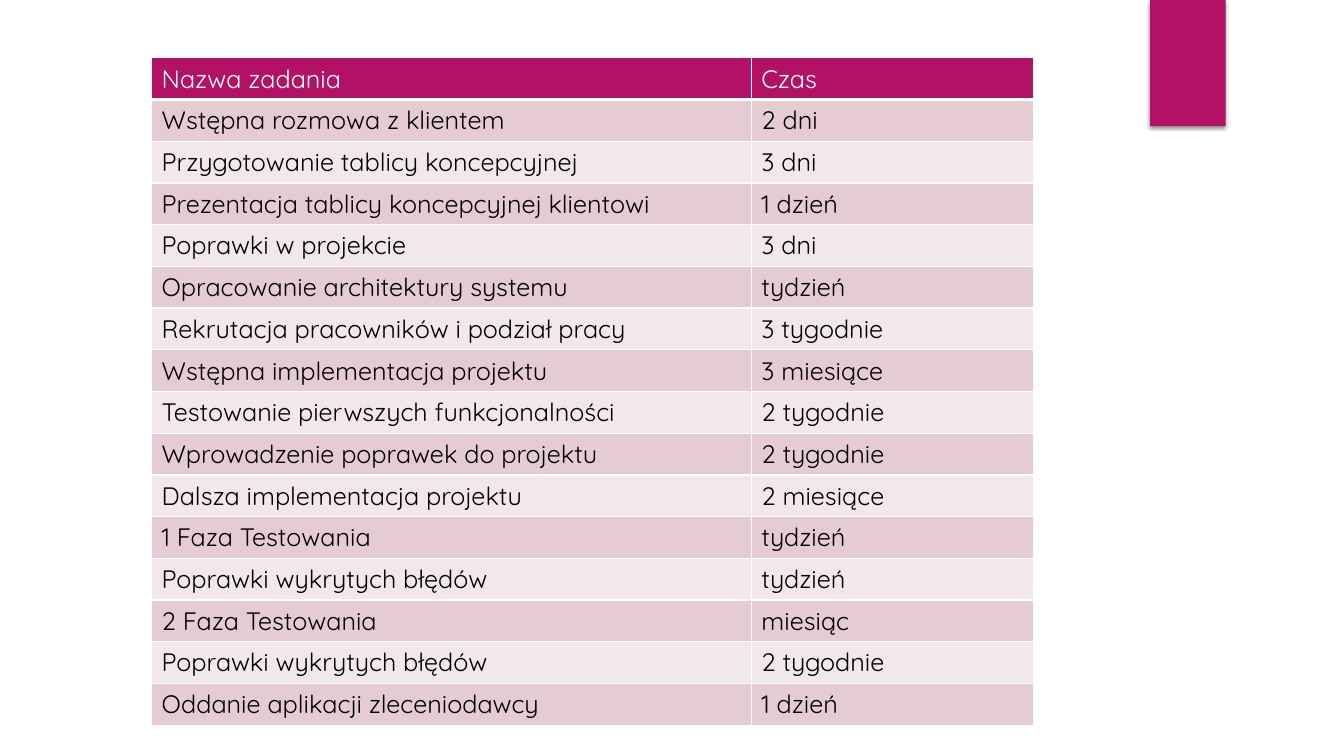
from dataclasses import dataclass

from lxml.etree import SubElement
from pptx import Presentation
from pptx.dml.color import RGBColor
from pptx.enum.shapes import MSO_SHAPE as Preset
from pptx.oxml.ns import qn
from pptx.slide import Slide
from pptx.table import _Cell as Cell
from pptx.util import Pt

FONT = "Quicksand"
MAGENTA = "B31166"
WHITE = "FFFFFF"
BLACK = "000000"
BAND_COLORS = ("E5CCD3", "F2E7EA")
ROW_HEIGHT = 26.64
COLUMN_WIDTHS = (428.4, 201.6)


@dataclass(frozen=True)
class Task:
    name: str
    duration: str


@dataclass(frozen=True)
class RowStyle:
    fill: str
    text: str
    top_line: float = 1
    bottom_line: float = 1


HEADING = Task("Nazwa zadania", "Czas")
TASKS = (
    Task("Wstępna rozmowa z klientem", "2 dni"),
    Task("Przygotowanie tablicy koncepcyjnej", "3 dni"),
    Task("Prezentacja tablicy koncepcyjnej klientowi", "1 dzień"),
    Task("Poprawki w projekcie", "3 dni"),
    Task("Opracowanie architektury systemu", "tydzień"),
    Task("Rekrutacja pracowników i podział pracy", "3 tygodnie"),
    Task("Wstępna implementacja projektu", "3 miesiące"),
    Task("Testowanie pierwszych funkcjonalności", "2 tygodnie"),
    Task("Wprowadzenie poprawek do projektu", "2 tygodnie"),
    Task("Dalsza implementacja projektu", "2 miesiące"),
    Task("1 Faza Testowania", "tydzień"),
    Task("Poprawki wykrytych błędów", "tydzień"),
    Task("2 Faza Testowania", "miesiąc"),
    Task("Poprawki wykrytych błędów", "2 tygodnie"),
    Task("Oddanie aplikacji zleceniodawcy", "1 dzień"),
)


def color(value: str) -> RGBColor:
    return RGBColor.from_string(value)


def style_for(row: int) -> RowStyle:
    if row == 0:
        return RowStyle(MAGENTA, WHITE, bottom_line=3)
    return RowStyle(BAND_COLORS[(row - 1) % 2], BLACK, top_line=3 if row == 1 else 1)


def draw_borders(cell: Cell, style: RowStyle) -> None:
    properties = cell._tc.get_or_add_tcPr()
    widths = {"L": 1, "R": 1, "T": style.top_line, "B": style.bottom_line}
    for side, width in widths.items():
        line = SubElement(properties, qn(f"a:ln{side}"), w=str(int(Pt(width))))
        SubElement(SubElement(line, qn("a:solidFill")), qn("a:srgbClr"), val=WHITE)


def fill_cell(cell: Cell, text: str, style: RowStyle) -> None:
    draw_borders(cell, style)
    cell.fill.solid()
    cell.fill.fore_color.rgb = color(style.fill)
    cell.text = text
    font = cell.text_frame.paragraphs[0].font
    font.name = FONT
    font.size = Pt(18)
    font.bold = False
    font.color.rgb = color(style.text)


def draw_ribbon(slide: Slide) -> None:
    ribbon = slide.shapes.add_shape(Preset.RECTANGLE, Pt(821.5), Pt(0), Pt(54), Pt(90))
    ribbon.fill.solid()
    ribbon.fill.fore_color.rgb = color(MAGENTA)
    ribbon.line.fill.background()
    ribbon.shadow.inherit = False
    effects = ribbon._element.spPr.find(qn("a:effectLst"))
    shadow = SubElement(
        effects, qn("a:outerShdw"), blurRad=str(int(Pt(3))), dist=str(int(Pt(2))),
        dir="5400000", algn="ctr", rotWithShape="0",
    )
    tint = SubElement(shadow, qn("a:srgbClr"), val=BLACK)
    SubElement(tint, qn("a:alpha"), val="45000")


def draw_schedule(slide: Slide) -> None:
    entries = (HEADING, *TASKS)
    schedule = slide.shapes.add_table(
        len(entries), len(COLUMN_WIDTHS), Pt(108.3), Pt(41.3),
        Pt(sum(COLUMN_WIDTHS)), Pt(ROW_HEIGHT * len(entries)),
    ).table
    for column, width in zip(schedule.columns, COLUMN_WIDTHS):
        column.width = Pt(width)
    for row, task in enumerate(entries):
        style = style_for(row)
        for column, text in enumerate((task.name, task.duration)):
            fill_cell(schedule.cell(row, column), text, style)


def main() -> None:
    presentation = Presentation()
    presentation.slide_width = Pt(960)
    presentation.slide_height = Pt(540)
    slide = presentation.slides.add_slide(presentation.slide_layouts[6])
    draw_ribbon(slide)
    draw_schedule(slide)
    presentation.save("out.pptx")


if __name__ == "__main__":
    main()
